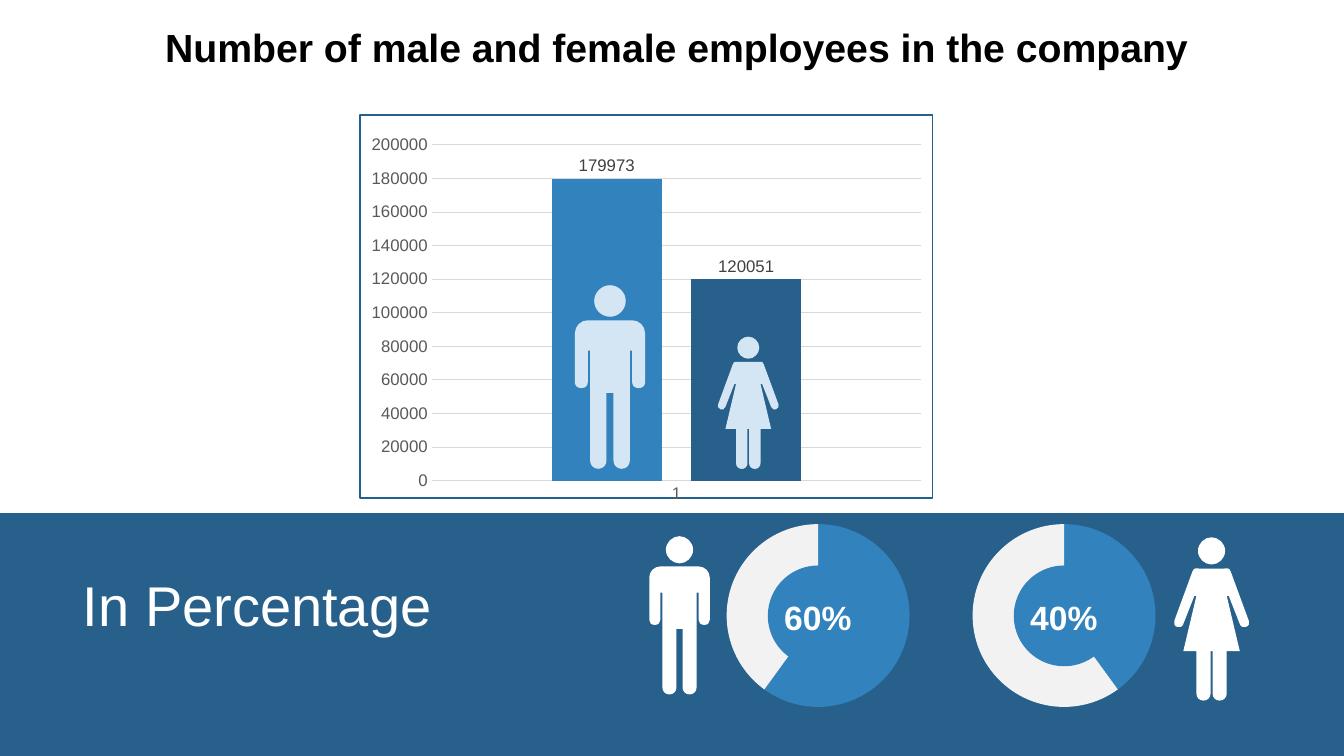
from dataclasses import dataclass

from lxml import etree
from pptx import Presentation
from pptx.chart.data import CategoryChartData
from pptx.dml.color import RGBColor
from pptx.enum.chart import XL_CHART_TYPE, XL_LABEL_POSITION, XL_TICK_MARK
from pptx.enum.shapes import MSO_SHAPE
from pptx.enum.text import MSO_ANCHOR, PP_ALIGN
from pptx.oxml.ns import qn
from pptx.util import Inches, Pt

COLUMN_CHART, DOUGHNUT = XL_CHART_TYPE.COLUMN_CLUSTERED, XL_CHART_TYPE.DOUGHNUT
OUTSIDE_END, NO_TICK = XL_LABEL_POSITION.OUTSIDE_END, XL_TICK_MARK.NONE
RECTANGLE, OVAL = MSO_SHAPE.RECTANGLE, MSO_SHAPE.OVAL
TOP, MIDDLE = MSO_ANCHOR.TOP, MSO_ANCHOR.MIDDLE
LEFT, CENTER = PP_ALIGN.LEFT, PP_ALIGN.CENTER

FONT = "Arial"
BLACK = RGBColor(0x00, 0x00, 0x00)
WHITE = RGBColor(0xFF, 0xFF, 0xFF)
NAVY = RGBColor(0x28, 0x60, 0x8C)
FRAME_NAVY = RGBColor(0x25, 0x60, 0x8D)
BLUE = RGBColor(0x32, 0x82, 0xBE)
PALE_BLUE = RGBColor(0xD4, 0xE6, 0xF4)
REMAINDER_GRAY = RGBColor(0xF2, 0xF2, 0xF2)
GRID_GRAY = RGBColor(0xD9, 0xD9, 0xD9)
AXIS_GRAY = RGBColor(0x59, 0x59, 0x59)
VALUE_GRAY = RGBColor(0x40, 0x40, 0x40)

SLIDE_WIDTH, SLIDE_HEIGHT = Inches(13.33), Inches(7.5)

# Right halves, in inches from the top centre of the head.
# Two numbers are a line's end; six are a Bézier curve.
HEAD = [(0, 0), (0.07, 0, 0.135, 0.06, 0.135, 0.135), (0.135, 0.21, 0.07, 0.27, 0, 0.27)]
MAN = [
    (0.19, 0.3), (0.25, 0.3, 0.3, 0.35, 0.3, 0.41), (0.3, 0.83),
    (0.3, 0.86, 0.28, 0.88, 0.245, 0.88), (0.21, 0.88, 0.19, 0.86, 0.19, 0.83),
    (0.19, 0.56), (0.17, 0.56), (0.17, 1.5),
    (0.17, 1.54, 0.14, 1.57, 0.1, 1.57), (0.06, 1.57, 0.03, 1.54, 0.03, 1.5),
    (0.03, 0.92),
]
WOMAN = [
    (0.12, 0.31), (0.17, 0.31, 0.17, 0.3, 0.19, 0.34), (0.37, 0.83),
    (0.38, 0.85, 0.37, 0.88, 0.34, 0.89), (0.32, 0.9, 0.29, 0.89, 0.28, 0.86),
    (0.17, 0.58), (0.15, 0.58), (0.28, 1.13), (0.15, 1.13), (0.15, 1.55),
    (0.15, 1.59, 0.12, 1.62, 0.08, 1.62), (0.04, 1.62, 0.01, 1.59, 0.01, 1.55),
    (0.01, 1.13),
]


@dataclass
class Box:
    """A place on the slide, in percent of its width and height."""
    left: float
    top: float
    width: float
    height: float

    def emu(self) -> list[int]:
        shares = (self.left, self.top, self.width, self.height)
        sides = (SLIDE_WIDTH, SLIDE_HEIGHT) * 2
        return [round(side * share / 100) for share, side in zip(shares, sides)]


@dataclass
class Person:
    half_body: list
    center: float
    top: float
    scale: float
    color: RGBColor


@dataclass
class Share:
    left: float
    percent: int


PEOPLE_ON_BAND = [
    Person(WOMAN, 90.15, 71.07, 1, WHITE),
    Person(MAN, 50.56, 70.93, 1, WHITE),
]
PEOPLE_ON_COLUMNS = [
    Person(MAN, 45.39, 37.73, 1.16, PALE_BLUE),
    Person(WOMAN, 55.68, 44.53, 0.81, PALE_BLUE),
]
SHARES = [Share(54.05, 60), Share(72.35, 40)]
EMPLOYEES = [("Series 1", 179973, BLUE), ("Series 2", 120051, NAVY)]


def style_font(font, size: float, color: RGBColor, bold: bool = False) -> None:
    font.name, font.size, font.bold = FONT, Pt(size), bold
    font.color.rgb = color


def add_text(slide, box: Box, text: str, *, size: float, color: RGBColor,
             bold: bool = False, align=LEFT, anchor=TOP) -> None:
    frame = slide.shapes.add_textbox(*box.emu()).text_frame
    frame.word_wrap, frame.vertical_anchor = True, anchor
    paragraph = frame.paragraphs[0]
    paragraph.alignment = align
    run = paragraph.add_run()
    run.text = text
    style_font(run.font, size, color, bold)


def fill_plain(shape, color: RGBColor) -> None:
    shape.shadow.inherit = False
    shape.fill.solid()
    shape.fill.fore_color.rgb = color
    shape.line.fill.background()


def mirror(half: list) -> list:
    """Completes a right half with its left half, walked from bottom to top."""
    whole = list(half)
    if half[-1][-2] != 0:
        whole.append((-half[-1][-2], half[-1][-1]))
    for segment, before in zip(half[:0:-1], half[-2::-1]):
        x, y = before[-2:]
        if len(segment) == 6:
            x1, y1, x2, y2 = segment[:4]
            whole.append((-x2, y2, -x1, y1, -x, y))
        else:
            whole.append((-x, y))
    return whole


def add_person(slide, person: Person) -> None:
    center, top, _, _ = Box(person.center, person.top, 0, 0).emu()
    unit = Inches(person.scale)
    outlines = [[[(round(center + x * unit), round(top + y * unit))
                  for x, y in zip(segment[::2], segment[1::2])]
                 for segment in mirror(half)] for half in (person.half_body, HEAD)]
    builder = slide.shapes.build_freeform(*outlines[0][0][-1])
    for index, outline in enumerate(outlines):
        if index:
            builder.move_to(*outline[0][-1])
        builder.add_line_segments([points[-1] for points in outline[1:]])
    shape = builder.convert_to_shape()
    fill_plain(shape, person.color)
    segments = [points for outline in outlines for points in outline[1:]]
    for line, points in zip(list(shape._element.iter(qn("a:lnTo"))), segments):
        if len(points) == 3:
            bend(line, [(x - shape.left, y - shape.top) for x, y in points])


def bend(line, points: list[tuple[int, int]]) -> None:
    """Puts a Bézier curve in the place of a line of an outline."""
    curve = etree.Element(qn("a:cubicBezTo"))
    for x, y in points:
        etree.SubElement(curve, qn("a:pt"), x=str(x), y=str(y))
    line.getparent().replace(line, curve)


def add_chart(slide, kind, box: Box, categories: list, series: list, size: float):
    data = CategoryChartData()
    data.categories = categories
    for name, values in series:
        data.add_series(name, values)
    chart = slide.shapes.add_chart(kind, *box.emu(), data).chart
    chart.has_title = chart.has_legend = False
    style_font(chart.font, size, BLACK)
    return chart


def fill_plot_area(chart) -> None:
    plot_area = chart.plots[0]._element.getparent()
    for old in plot_area.findall(qn("c:layout")):
        plot_area.remove(old)
    layout = etree.Element(qn("c:layout"))
    manual = etree.SubElement(layout, qn("c:manualLayout"))
    for tag, value in (("layoutTarget", "inner"), ("xMode", "edge"), ("yMode", "edge"),
                       ("x", "0"), ("y", "0"), ("w", "1"), ("h", "0.965")):
        etree.SubElement(manual, qn(f"c:{tag}")).set("val", value)
    plot_area.insert(0, layout)


def add_share(slide, share: Share) -> None:
    """Draws a ring with its percentage on a disc in the middle."""
    chart = add_chart(slide, DOUGHNUT, Box(share.left, 69.33, 13.65, 25.07), ["1", "2"],
                      [("Series 1", (share.percent, 100 - share.percent))], 18)
    fill_plot_area(chart)
    plot = chart.plots[0]
    plot._element.find(qn("c:holeSize")).set("val", "75")
    for index, color in enumerate((BLUE, REMAINDER_GRAY)):
        part = plot.series[0].points[index].format
        part.fill.solid()
        part.fill.fore_color.rgb = color
        part.line.fill.background()
    disc = slide.shapes.add_shape(OVAL, *Box(share.left + 3.08, 74.8, 7.5, 13.33).emu())
    fill_plain(disc, BLUE)
    add_text(slide, Box(share.left + 2.98, 78.27, 7.65, 6.67), f"{share.percent}%",
             size=24, color=WHITE, bold=True, align=CENTER, anchor=MIDDLE)


def add_employee_chart(slide) -> None:
    frame = slide.shapes.add_shape(RECTANGLE, *Box(26.78, 15.2, 42.6, 50.67).emu())
    frame.shadow.inherit = False
    frame.fill.background()
    frame.line.color.rgb, frame.line.width = FRAME_NAVY, Pt(1)
    chart = add_chart(slide, COLUMN_CHART, Box(26.8, 16.97, 42.6, 50.53), ["1"],
                      [(name, (count,)) for name, count, _ in EMPLOYEES], 10)
    plot = chart.plots[0]
    plot.gap_width, plot.overlap, plot.vary_by_categories = 219, -27, False
    for series, (_, _, color) in zip(plot.series, EMPLOYEES):
        series.format.fill.solid()
        series.format.fill.fore_color.rgb = color
        labels = series.data_labels
        labels.show_value, labels.position = True, OUTSIDE_END
        style_font(labels.font, 12, VALUE_GRAY)
    counts, group = chart.value_axis, chart.category_axis
    for axis in (counts, group):
        axis.major_tick_mark = axis.minor_tick_mark = NO_TICK
        style_font(axis.tick_labels.font, 12, AXIS_GRAY)
    counts.format.line.fill.background()
    for line in (group.format.line, counts.major_gridlines.format.line):
        line.color.rgb, line.width = GRID_GRAY, Pt(0.75)


def main() -> None:
    deck = Presentation()
    deck.slide_width, deck.slide_height = SLIDE_WIDTH, SLIDE_HEIGHT
    slide = deck.slides.add_slide(deck.slide_layouts[6])
    band = slide.shapes.add_shape(RECTANGLE, *Box(0, 67.87, 100, 32.13).emu())
    fill_plain(band, NAVY)
    for share in SHARES:
        add_share(slide, share)
    for person in PEOPLE_ON_BAND:
        add_person(slide, person)
    add_text(slide, Box(4.58, 74.8, 29.1, 17.33), "In Percentage",
             size=40, color=WHITE, align=CENTER)
    add_employee_chart(slide)
    for person in PEOPLE_ON_COLUMNS:
        add_person(slide, person)
    add_text(slide, Box(11.55, 2.4, 78, 7.6),
             "Number of male and female employees in the company",
             size=28, color=BLACK, bold=True)
    deck.save("out.pptx")


if __name__ == "__main__":
    main()
